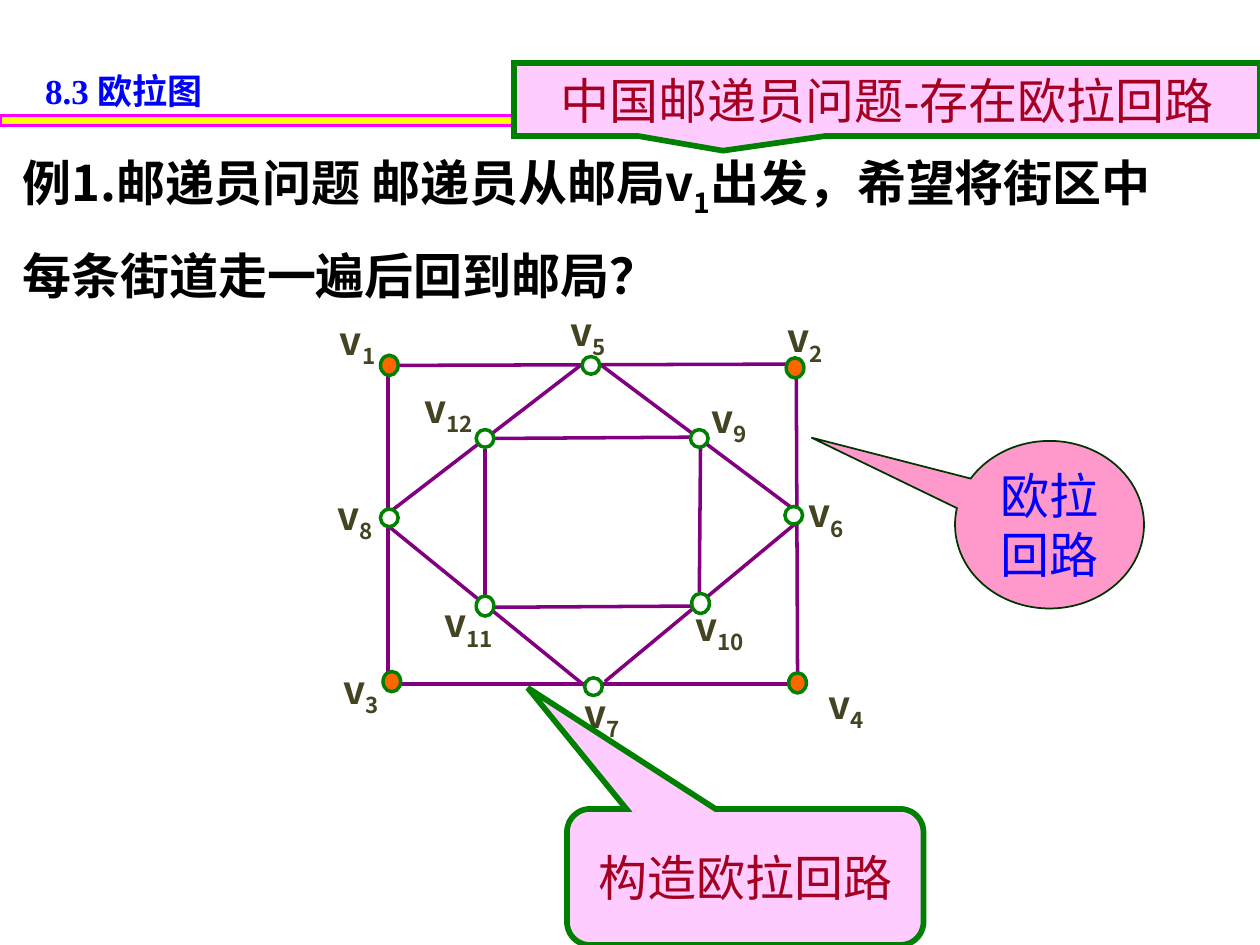
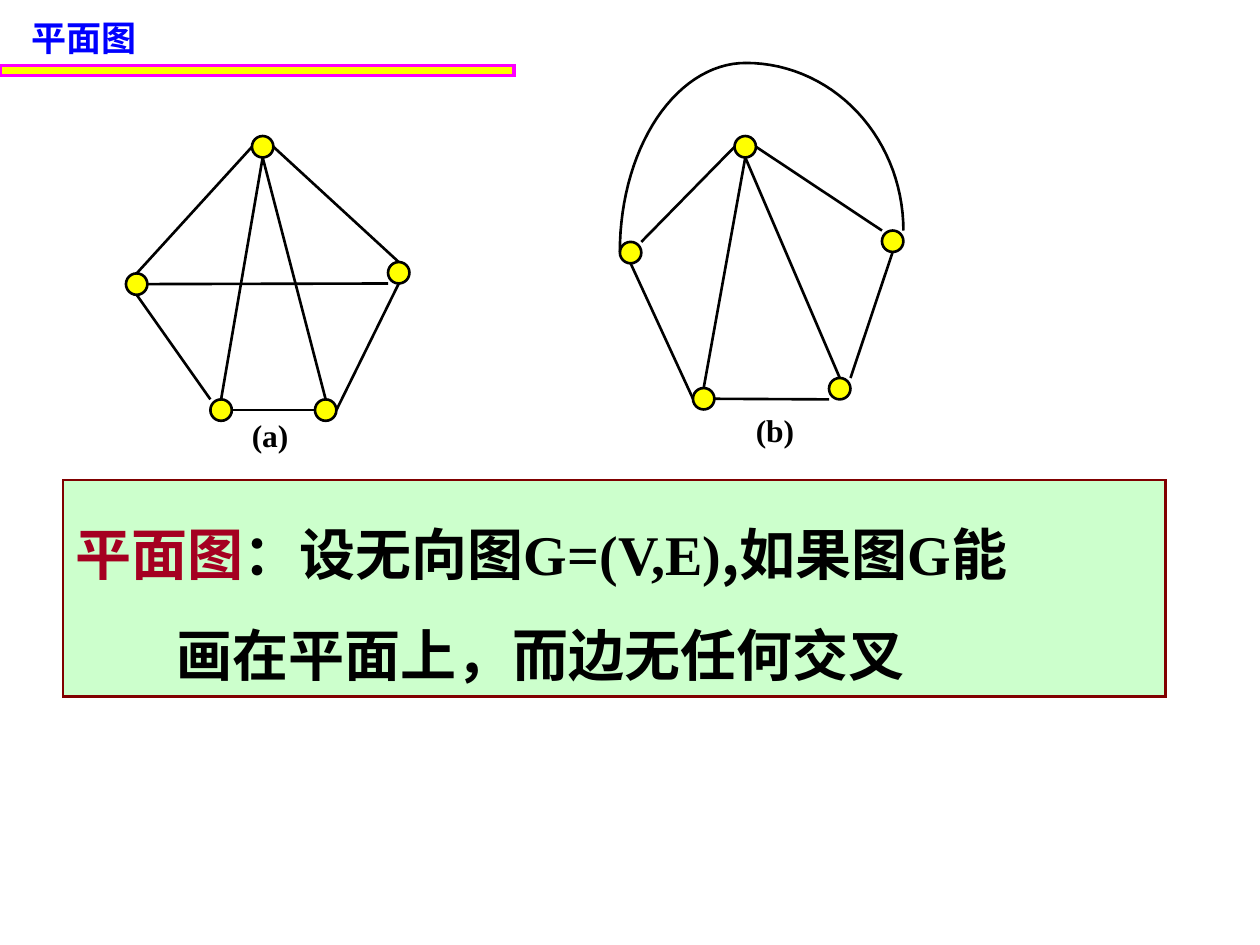
from math import cos, pi, sin

from lxml.etree import SubElement
from pptx import Presentation
from pptx.dml.color import RGBColor
from pptx.enum.shapes import MSO_CONNECTOR, MSO_SHAPE
from pptx.enum.text import MSO_ANCHOR, MSO_AUTO_SIZE, PP_ALIGN
from pptx.oxml.ns import qn
from pptx.util import Inches, Pt

COLORS = {
    "yellow": "FFFF00", "magenta": "FF00FF", "blue": "0000FF", "black": "000000",
    "white": "FFFFFF", "purple": "800080", "green": "008000", "orange": "FF6600",
    "olive": "444322", "rose": "FF99CC", "dark_green": "003300", "pink": "FFCCFF",
    "crimson": "A50021", "mint": "CCFFCC", "maroon": "800000",
}
CJK_FONT = "Noto Sans CJK SC"
STYLES = {
    "title": ({"name": "Times New Roman", "size": Pt(20), "bold": True}, "blue"),
    "problem": ({"name": "Noto Sans CJK JP", "size": Pt(28), "bold": True}, "black"),
    "vertex": ({"name": CJK_FONT, "size": Pt(22), "bold": True}, "olive"),
    "bubble": ({"name": "Arial", "size": Pt(28)}, "blue"),
    "callout": ({"name": "Arial", "size": Pt(28)}, "crimson"),
    "caption": ({"name": "Times New Roman", "size": Pt(18), "bold": True}, "black"),
    "term": ({"name": CJK_FONT, "size": Pt(32), "bold": True}, "crimson"),
    "definition": ({"name": CJK_FONT, "size": Pt(32), "bold": True}, "black"),
    "formula": ({"name": "Times New Roman", "size": Pt(32), "bold": True}, "black"),
}
SUBSCRIPT = "-25000"

STREET_VERTICES = {
    1: ((0.02, 0.02), (-0.4, -0.33)), 2: ((3.24, 0.04), (3.15, -0.35)),
    3: ((0.04, 2.53), (-0.37, 2.44)), 4: ((3.26, 2.54), (3.48, 2.56)),
    5: ((1.62, 0.03), (1.43, -0.4)), 6: ((3.23, 1.22), (3.32, 1.04)),
    7: ((1.64, 2.58), (1.54, 2.63)), 8: ((0.02, 1.24), (-0.42, 1.06)),
    9: ((2.48, 0.61), (2.55, 0.29)), 10: ((2.49, 1.91), (2.42, 1.94)),
    11: ((0.78, 1.93), (0.43, 1.91)), 12: ((0.78, 0.61), (0.27, 0.21)),
}
CORNERS = (1, 2, 3, 4)
TALL_VERTICES = (*CORNERS, 10, 11)
STREETS = [
    ((0.14, 0.1), (3.26, 0.09)), ((3.32, 0.19), (3.33, 2.58)),
    ((0.11, 2.63), (3.37, 2.63)), ((0.08, 0.15), (0.08, 2.62)),
    ((3.32, 1.35), (1.8, 2.61)), ((0.1, 1.39), (1.65, 2.65)),
    ((1.76, 0.09), (3.35, 1.28)), ((1.66, 0.06), (0.06, 1.29)),
    ((0.91, 2.02), (2.52, 2.01)), ((0.91, 0.68), (2.49, 0.67)),
    ((2.56, 0.73), (2.55, 1.9)), ((0.85, 0.76), (0.85, 1.94)),
]

DOT = 0.17
SIDES = {
    "top": (0.5, 0), "bottom": (0.5, 1), "left": (0, 0.5), "right": (1, 0.5),
    "top left": (0, 0), "top right": (1, 0), "bottom left": (0, 1), "bottom right": (1, 1),
}
CROSSED_DOTS = {"apex": (1, 0), "west": (0, 1.09), "southwest": (0.67, 2.09),
                "southeast": (1.5, 2.09), "east": (2.08, 1)}
CROSSED_EDGES = [
    ("west", "top", "apex", "left"), ("west", "bottom", "southwest", "top left"),
    ("west", "right", "east", "bottom left"), ("southwest", "right", "southeast", "left"),
    ("southeast", "right", "east", "bottom"), ("apex", "right", "east", "top"),
    ("apex", "bottom", "southwest", "top"), ("apex", "bottom", "southeast", "top"),
]
PLANAR_DOTS = {"apex": (0.91, 0), "west": (0, 0.84), "southwest": (0.58, 2),
               "southeast": (1.66, 1.92), "east": (2.08, 0.75)}
PLANAR_EDGES = [
    ("west", "top right", "apex", "left"), ("west", "bottom", "southwest", "left"),
    ("southwest", "right", "southeast", "bottom left"),
    ("southeast", "top right", "east", "bottom"), ("apex", "right", "east", "top left"),
    ("apex", "bottom", "southwest", "top"), ("apex", "bottom", "southeast", "top"),
]


def rgb(color):
    return RGBColor.from_string(COLORS[color])


def set_line(shape, color, width):
    shape.line.color.rgb = rgb(color)
    shape.line.width = Pt(width)
    outline = shape._element.spPr.find(qn("a:ln"))
    SubElement(outline, qn("a:miter")).set("lim", "800000")


def add_box(shapes, kind, box, fill, line, width):
    shape = shapes.add_shape(kind, *map(Inches, box))
    shape.shadow.inherit = False
    shape.fill.solid()
    shape.fill.fore_color.rgb = rgb(fill)
    set_line(shape, line, width)
    return shape


def add_line(shapes, start, end, color, width):
    line = shapes.add_connector(MSO_CONNECTOR.STRAIGHT, *map(Inches, (*start, *end)))
    set_line(line, color, width)
    SubElement(line._element.spPr, qn("a:effectLst"))


def add_run(paragraph, text, style, baseline=None):
    run = paragraph.add_run()
    run.text = text
    values, color = STYLES[style]
    for name, value in values.items():
        setattr(run.font, name, value)
    run.font.color.rgb = rgb(color)
    properties = run._r.get_or_add_rPr()
    SubElement(properties, qn("a:ea")).set("typeface", CJK_FONT)
    if baseline:
        properties.set("baseline", baseline)


def set_frame(shape, anchor=MSO_ANCHOR.TOP, fit=MSO_AUTO_SIZE.SHAPE_TO_FIT_TEXT):
    values = {"word_wrap": True, "auto_size": fit, "vertical_anchor": anchor}
    for name, value in values.items():
        setattr(shape.text_frame, name, value)
    return shape.text_frame


def add_text(shapes, box, runs, spacing=None):
    frame = set_frame(shapes.add_textbox(*map(Inches, box)))
    paragraph = frame.paragraphs[0]
    paragraph.line_spacing = spacing
    for run in runs:
        add_run(paragraph, *run)


def add_heading(slide, text, text_box, band_top):
    add_box(slide.shapes, MSO_SHAPE.RECTANGLE, (0, band_top, 4.08, 0.08),
            "yellow", "magenta", 1.75)
    add_text(slide.shapes, text_box, [(text, "title")])


def add_callout(slide, kind, box, tail, text, style, colors, width):
    shape = add_box(slide.shapes, kind, box, *colors, width)
    for index, value in enumerate(tail):
        shape.adjustments[index] = value
    frame = set_frame(shape, MSO_ANCHOR.MIDDLE, MSO_AUTO_SIZE.NONE)
    paragraph = frame.paragraphs[0]
    paragraph.alignment = PP_ALIGN.CENTER
    add_run(paragraph, text, style)


def add_street_map(slide, left, top):
    def place(point):
        return left + point[0], top + point[1]

    for start, end in STREETS:
        add_line(slide.shapes, place(start), place(end), "purple", 2)
    for number, (corner, label) in STREET_VERTICES.items():
        height = 0.16 if number in TALL_VERTICES else 0.14
        fill = "orange" if number in CORNERS else "white"
        add_box(slide.shapes, MSO_SHAPE.OVAL, (*place(corner), 0.14, height), fill, "green", 2)
        width = 0.7 if number > 9 else 0.56
        add_text(slide.shapes, (*place(label), width, 0.43),
                 [("v", "vertex"), (str(number), "vertex", SUBSCRIPT)], 0.9)


def add_dot_graph(shapes, left, top, dots, edges, caption, caption_at):
    def site(dot, side):
        return [origin + position + DOT * share
                for origin, position, share in zip((left, top), dots[dot], SIDES[side])]

    for corner in dots.values():
        add_box(shapes, MSO_SHAPE.OVAL, (left + corner[0], top + corner[1], DOT, DOT),
                "yellow", "black", 1.5)
    for start, start_side, end, end_side in edges:
        add_line(shapes, site(start, start_side), site(end, end_side), "black", 1.5)
    add_text(shapes, (left + caption_at[0], top + caption_at[1], 0.6, 0.4),
             [(caption, "caption")])


def add_quarter_arc(shapes, center_x, top, radius_x, radius_y, steps=30):
    angles = [pi / 2 * step / steps for step in range(steps + 1)]
    points = [(Inches(center_x + radius_x * sin(angle)),
               Inches(top + radius_y * (1 - cos(angle)))) for angle in angles]
    builder = shapes.build_freeform(*points[0])
    builder.add_line_segments(points[1:], close=False)
    arc = builder.convert_to_shape()
    arc.shadow.inherit = False
    arc.fill.background()
    set_line(arc, "black", 1.5)


def add_definition(slide, box):
    shape = add_box(slide.shapes, MSO_SHAPE.RECTANGLE, box, "mint", "maroon", 1.5)
    frame = set_frame(shape)
    lines = [
        [("平面图", "term"), ("：设无向图", "definition"), ("G=(V,E)", "formula"),
         (",如果图", "definition"), ("G", "formula"), ("能", "definition")],
        [("画在平面上，而边无任何交叉", "definition")],
    ]
    for index, runs in enumerate(lines):
        paragraph = frame.add_paragraph() if index else frame.paragraphs[0]
        paragraph.alignment = PP_ALIGN.LEFT
        paragraph.line_spacing = 1.5
        if index:
            paragraph._p.get_or_add_pPr().set("marL", str(Inches(0.8)))
        for run in runs:
            add_run(paragraph, *run)


def build_postman_slide(slide):
    add_heading(slide, "8.3 欧拉图", (0.26, 0.5, 3.02, 0.43), 0.92)
    add_text(slide.shapes, (0.08, 0.92, 9.4, 1.45), [
        ("例1.邮递员问题 邮递员从邮局v", "problem"), ("1", "problem", SUBSCRIPT),
        ("出发，希望将街区中每条街道走一遍后回到邮局？", "problem")], 1.45)
    add_street_map(slide, 3, 2.8)
    add_callout(slide, MSO_SHAPE.OVAL_CALLOUT, (7.58, 3.5, 1.5, 1.33), (-1.26, -0.52),
                "欧拉回路", "bubble", ("rose", "dark_green"), 1)
    add_callout(slide, MSO_SHAPE.ROUNDED_RECTANGULAR_CALLOUT, (4.5, 6.42, 2.83, 1.08),
                (-0.61, -1.39, 0.17), "构造欧拉回路", "callout", ("pink", "green"), 3.25)
    add_callout(slide, MSO_SHAPE.RECTANGULAR_CALLOUT, (4.08, 0.5, 5.92, 0.58),
                (-0.22, 0.7), "中国邮递员问题-存在欧拉回路", "callout", ("pink", "green"), 3.25)


def build_planar_slide(slide):
    add_heading(slide, "平面图", (0.15, 0.08, 2.68, 0.43), 0.52)
    add_dot_graph(slide.shapes, 1, 1.08, CROSSED_DOTS, CROSSED_EDGES, "(a)", (0.9, 2.17))
    add_definition(slide, (0.5, 3.81, 8.75, 1.72))
    planar = slide.shapes.add_group_shape().shapes
    add_dot_graph(planar, 4.92, 1.08, PLANAR_DOTS, PLANAR_EDGES, "(b)", (0.98, 2.13))
    add_quarter_arc(planar, 5.92, 0.5, 1.25, 1.33)
    add_quarter_arc(planar, 5.92, 0.5, -1, 1.5)


def main():
    presentation = Presentation()
    presentation.slide_width = Inches(10)
    presentation.slide_height = Inches(7.5)
    for build in (build_postman_slide, build_planar_slide):
        build(presentation.slides.add_slide(presentation.slide_layouts[6]))
    presentation.save("out.pptx")


if __name__ == "__main__":
    main()
